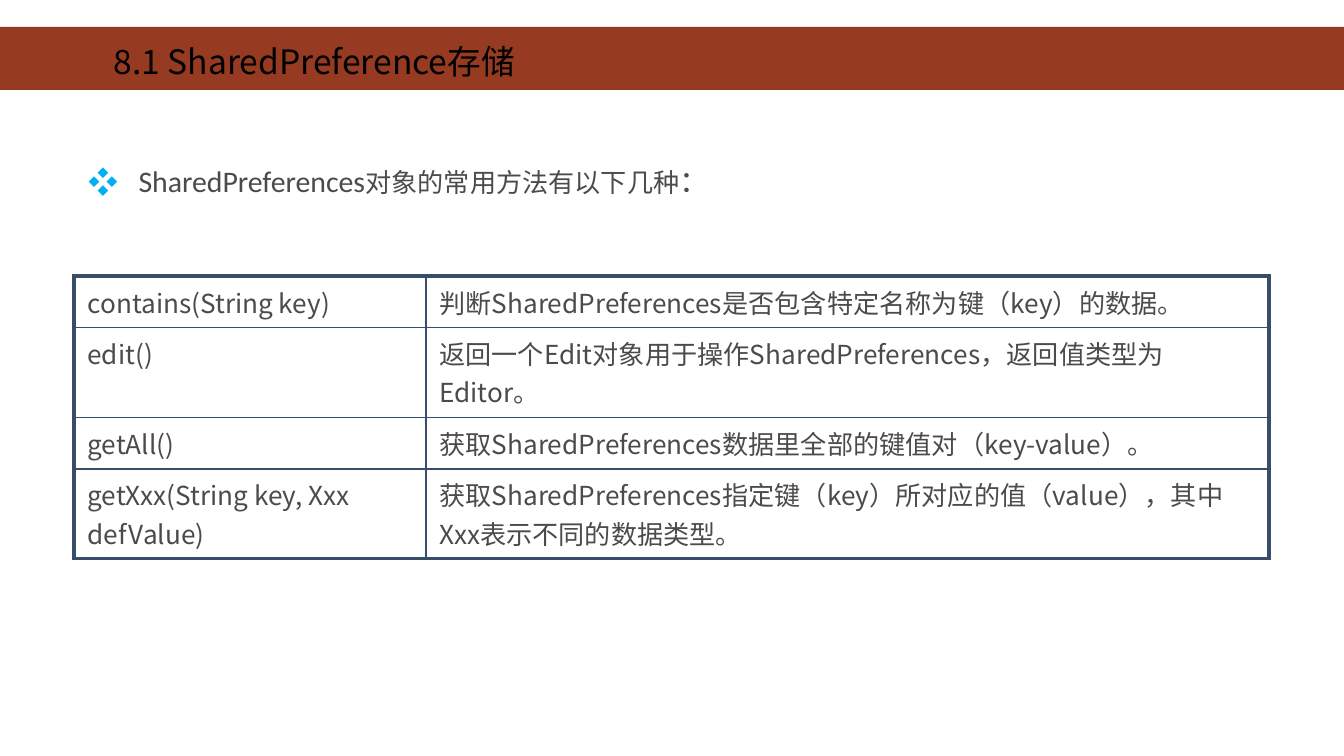
from lxml.etree import SubElement
from pptx import Presentation
from pptx.dml.color import RGBColor
from pptx.enum.shapes import MSO_SHAPE as Shape
from pptx.enum.text import MSO_AUTO_SIZE as AutoSize
from pptx.oxml.ns import qn
from pptx.util import Cm, Pt

COLORS = {
    "band": "963B22",
    "title": "000000",
    "text": "494B4D",
    "bullet": "00B0F0",
    "border": "384D68",
}
SANS = "Noto Sans CJK SC"
LATIN = "Calibri"
THICK, THIN = 2.25, 1
COLUMN_WIDTHS = (6.65, 15.93)
ONE_LINE, TWO_LINES = 0.97, 1.7
ROW_HEIGHTS = (ONE_LINE, TWO_LINES, ONE_LINE, TWO_LINES)
METHODS = [
    ("contains(String key)", "判断SharedPreferences是否包含特定名称为键（key）的数据。"),
    ("edit()", "返回一个Edit对象用于操作SharedPreferences，返回值类型为Editor。"),
    ("getAll()", "获取SharedPreferences数据里全部的键值对（key-value）。"),
    ("getXxx(String key, Xxx defValue)",
     "获取SharedPreferences指定键（key）所对应的值（value），其中Xxx表示不同的数据类型。"),
]


def color(name):
    return RGBColor.from_string(COLORS[name])


def add_span(para, text, size, font=SANS, ink="text"):
    span = para.add_run()
    span.text = text
    span.font.size = Pt(size)
    span.font.name = font
    span.font.color.rgb = color(ink)
    SubElement(span.font._element, qn("a:ea"), typeface=font)


def set_space_before(para, percent):
    """Set the space above as a share of the line, which Pt cannot express."""
    spacing = SubElement(para._p.get_or_add_pPr(), qn("a:spcBef"))
    SubElement(spacing, qn("a:spcPct"), val=str(percent * 1000))


def set_bullet(para, symbol, indent):
    props = para._p.get_or_add_pPr()
    props.set("marL", str(indent))
    props.set("indent", str(-indent))
    tint = SubElement(props, qn("a:buClr"))
    SubElement(tint, qn("a:srgbClr"), val=COLORS["bullet"])
    SubElement(props, qn("a:buFont"), typeface=SANS)
    SubElement(props, qn("a:buChar"), char=symbol)


def set_borders(cell, widths):
    """Draw the left, right, top and bottom lines, in that order."""
    props = cell._tc.get_or_add_tcPr()
    for side, width in zip("LRTB", widths):
        line = SubElement(props, qn(f"a:ln{side}"), w=str(Pt(width)))
        fill = SubElement(line, qn("a:solidFill"))
        SubElement(fill, qn("a:srgbClr"), val=COLORS["border"])


def add_band(page):
    band = page.shapes.add_shape(Shape.RECTANGLE, 0, Cm(0.51), Cm(25.4), Cm(1.19))
    band.shadow.inherit = False
    band.fill.solid()
    band.fill.fore_color.rgb = color("band")
    band.line.fill.background()


def add_title(page):
    box = page.shapes.add_textbox(Cm(1.9), Cm(0.65), Cm(8.28), Cm(1.02))
    box.text_frame.word_wrap = False
    box.text_frame.auto_size = AutoSize.SHAPE_TO_FIT_TEXT
    add_span(box.text_frame.paragraphs[0], "8.1 SharedPreference存储", 18, ink="title")


def add_intro(page):
    box = page.shapes.add_textbox(Cm(1.42), Cm(2.95), Cm(12.67), Cm(1.4))
    box.text_frame.word_wrap = True
    para = box.text_frame.paragraphs[0]
    set_space_before(para, 20)
    set_bullet(para, "❖", Cm(0.95))
    add_span(para, "SharedPreferences", 16, LATIN)
    add_span(para, "对象的常用方法有以下几种", 14)
    add_span(para, "：", 16, LATIN)


def add_method_table(page):
    last_row, last_column = len(METHODS) - 1, len(COLUMN_WIDTHS) - 1
    table = page.shapes.add_table(
        len(METHODS), len(COLUMN_WIDTHS), Cm(1.4), Cm(5.22),
        Cm(sum(COLUMN_WIDTHS)), Cm(sum(ROW_HEIGHTS))).table
    table.first_row = table.horz_banding = False
    for column, width in zip(table.columns, COLUMN_WIDTHS):
        column.width = Cm(width)
    for r, (height, texts) in enumerate(zip(ROW_HEIGHTS, METHODS)):
        table.rows[r].height = Cm(height)
        for c, text in enumerate(texts):
            cell = table.cell(r, c)
            para = cell.text_frame.paragraphs[0]
            set_space_before(para, 20)
            add_span(para, text, 14)
            outer = (c == 0, c == last_column, r == 0, r == last_row)
            set_borders(cell, [THICK if edge else THIN for edge in outer])
            cell.fill.background()


def main():
    deck = Presentation()
    deck.slide_width, deck.slide_height = Cm(25.4), Cm(14.29)
    page = deck.slides.add_slide(deck.slide_layouts[6])
    add_band(page)
    add_intro(page)
    add_method_table(page)
    add_title(page)
    deck.save("out.pptx")


if __name__ == "__main__":
    main()
